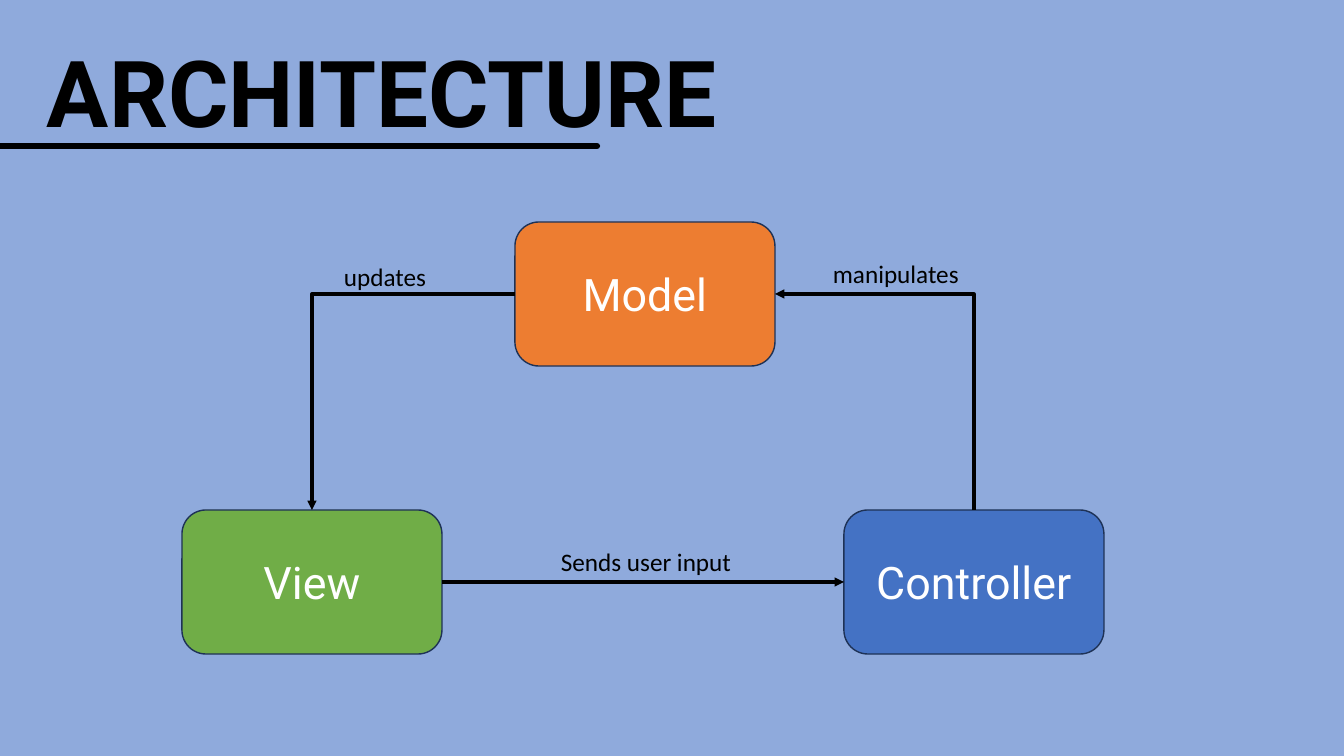
from lxml.etree import SubElement
from pptx import Presentation
from pptx.dml.color import RGBColor
from pptx.enum.shapes import MSO_CONNECTOR, MSO_SHAPE
from pptx.enum.text import MSO_ANCHOR, MSO_AUTO_SIZE, PP_ALIGN
from pptx.oxml.ns import qn
from pptx.util import Emu, Pt

EMU_PER_PX = 914400 / 100.8
TOP, LEFT, BOTTOM, RIGHT = range(4)
BOX_WIDTH, BOX_HEIGHT = 260, 144


def px(length):
    """Turn pixels into EMU."""
    return Emu(round(length * EMU_PER_PX))


def color(hex_string):
    """Turn a hex string into a colour."""
    return RGBColor.from_string(hex_string)


def set_text(text_frame, text, font_name, size, hex_string, bold=False):
    """Write one paragraph with its font and return it."""
    paragraph = text_frame.paragraphs[0]
    paragraph.text = text
    font = paragraph.font
    font.name, font.size, font.bold = font_name, Pt(size), bold
    font.color.rgb = color(hex_string)
    return paragraph


def add_text(slide, text, left, top, width, height, font_name="Calibri", size=18, bold=False):
    """Add an unwrapped black text box."""
    shape = slide.shapes.add_textbox(px(left), px(top), px(width), px(height))
    shape.text_frame.word_wrap = False
    shape.text_frame.auto_size = MSO_AUTO_SIZE.SHAPE_TO_FIT_TEXT
    set_text(shape.text_frame, text, font_name, size, "000000", bold)


def add_component(slide, name, left, top, fill):
    """Add a rounded box for one part of the architecture."""
    shape = slide.shapes.add_shape(
        MSO_SHAPE.ROUNDED_RECTANGLE, px(left), px(top), px(BOX_WIDTH), px(BOX_HEIGHT))
    shape.shadow.inherit = False
    shape.fill.solid()
    shape.fill.fore_color.rgb = color(fill)
    shape.line.color.rgb = color("1E3256")
    shape.line.width = Pt(1)
    shape.text_frame.vertical_anchor = MSO_ANCHOR.MIDDLE
    paragraph = set_text(shape.text_frame, name, "Roboto", 32, "FFFFFF")
    paragraph.alignment = PP_ALIGN.CENTER
    return shape


def add_line(slide, kind, width, start=(0, 0), end=(0, 0)):
    """Add a black connector without a shadow."""
    connector = slide.shapes.add_connector(kind, *map(px, start + end))
    connector.line.color.rgb = color("000000")
    connector.line.width = Pt(width)
    SubElement(connector._element.spPr, qn("a:effectLst"))
    return connector


def add_arrow(slide, source, source_side, target, target_side, kind=MSO_CONNECTOR.STRAIGHT):
    """Add an arrow joined to the sides of two boxes."""
    connector = add_line(slide, kind, 2.25)
    connector.begin_connect(source, source_side)
    connector.end_connect(target, target_side)
    SubElement(connector.line._get_or_add_ln(), qn("a:tailEnd"), type="triangle")
    return connector


def add_corner_arrow(slide, source, source_side, target, target_side):
    """Add an arrow with one right-angled corner, turned if it leaves upwards."""
    connector = add_arrow(slide, source, source_side, target, target_side, MSO_CONNECTOR.ELBOW)
    properties = connector._element.spPr
    properties.find(qn("a:prstGeom")).set("prst", "bentConnector2")
    if source_side == TOP:
        left, top, width, height = connector.left, connector.top, connector.width, connector.height
        connector.left = left + (width - height) // 2
        connector.top = top + (height - width) // 2
        connector.width, connector.height = height, width
        transform = properties.find(qn("a:xfrm"))
        transform.set("rot", str(270 * 60000))
        transform.set("flipH", "0")
        transform.set("flipV", "1")


def main():
    """Build the architecture slide."""
    presentation = Presentation()
    presentation.slide_width, presentation.slide_height = px(1344), px(756)
    slide = presentation.slides.add_slide(presentation.slide_layouts[6])
    slide.background.fill.solid()
    slide.background.fill.fore_color.rgb = color("8FAADC")

    add_text(slide, "ARCHITECTURE", 37, 30, 700, 122, "Roboto", 66, True)
    underline = add_line(slide, MSO_CONNECTOR.STRAIGHT, 4.5, (-27, 146), (597, 146))
    underline.line._get_or_add_ln().set("cap", "rnd")

    model = add_component(slide, "Model", 515, 222, "ED7D31")
    view = add_component(slide, "View", 182, 510, "70AD47")
    controller = add_component(slide, "Controller", 844, 510, "4472C4")

    add_corner_arrow(slide, model, LEFT, view, TOP)
    add_corner_arrow(slide, controller, TOP, model, RIGHT)
    add_arrow(slide, view, RIGHT, controller, LEFT)

    add_text(slide, "updates", 334, 256, 104, 40)
    add_text(slide, "Sends user input", 551, 541, 193, 40)
    add_text(slide, "manipulates", 823, 253, 147, 40)
    presentation.save("out.pptx")


if __name__ == "__main__":
    main()
